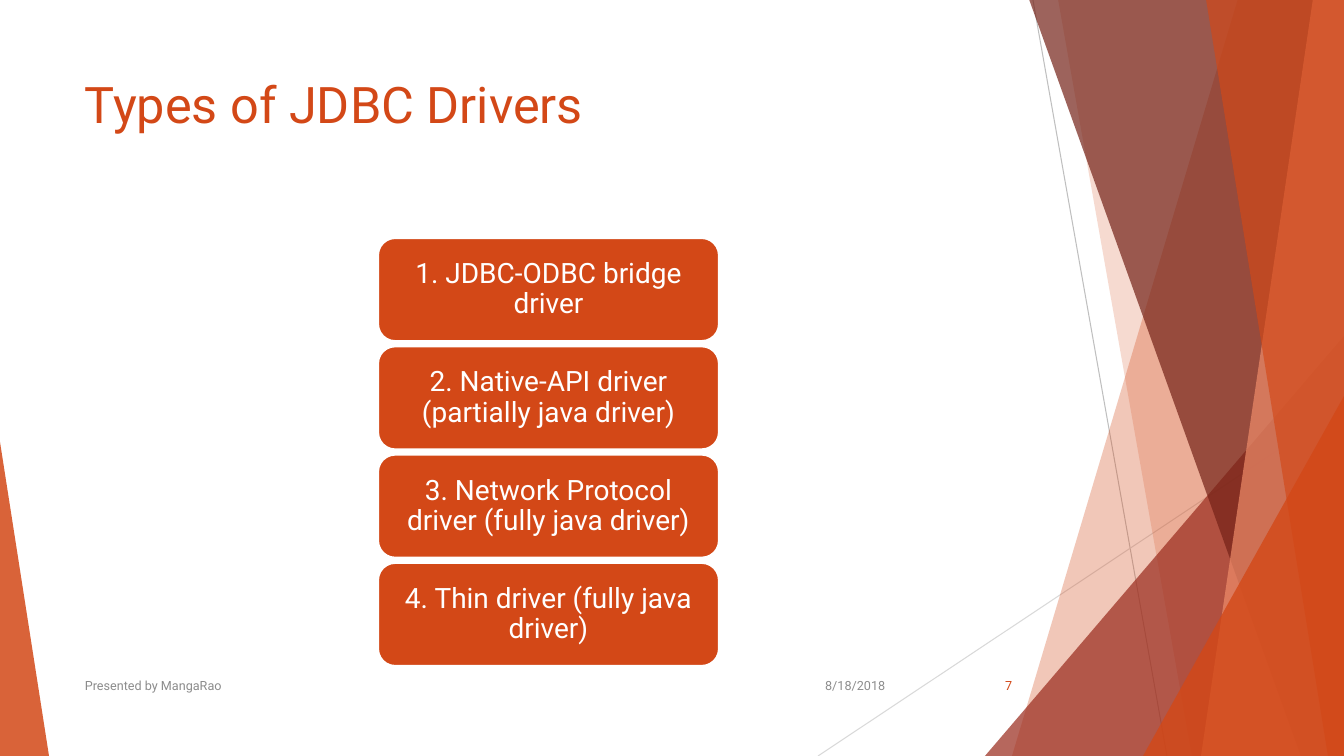
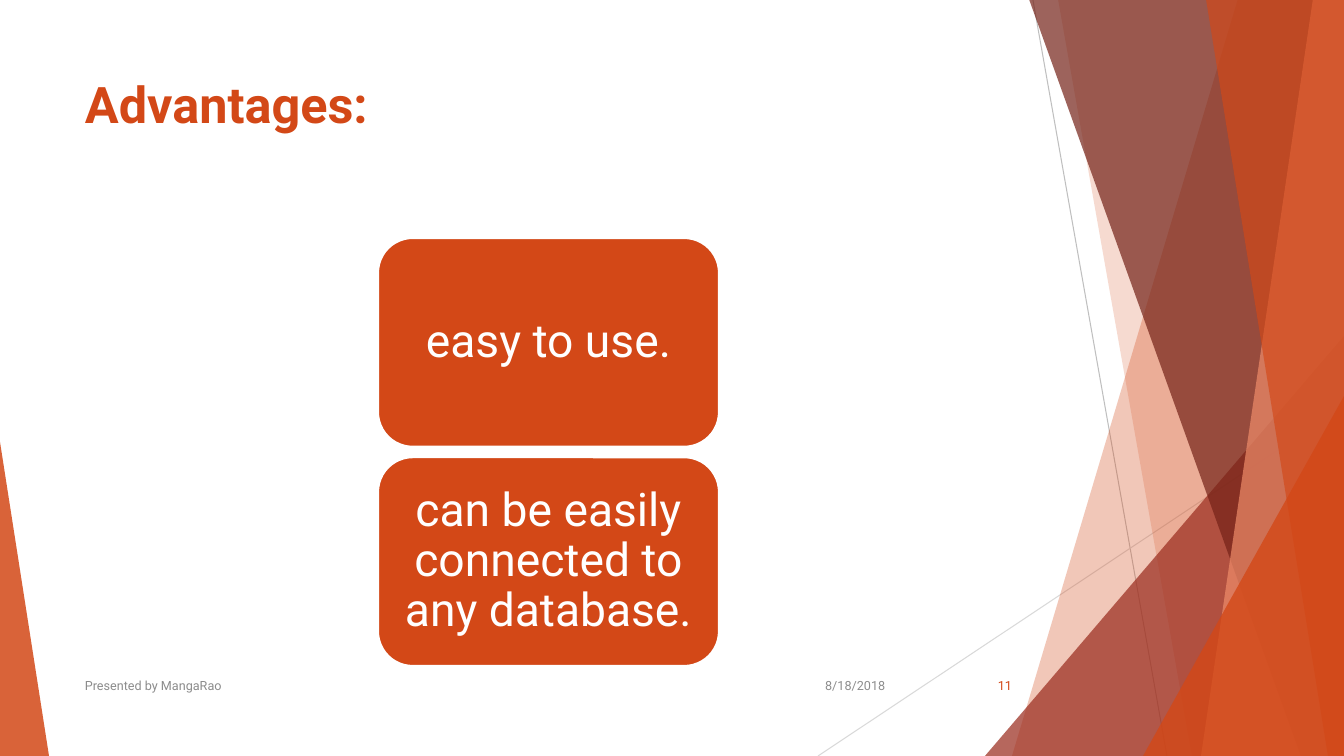
from lxml import etree
from pptx import Presentation
from pptx.dml.color import RGBColor
from pptx.enum.shapes import MSO_CONNECTOR, MSO_SHAPE
from pptx.enum.text import MSO_ANCHOR, PP_ALIGN
from pptx.oxml.ns import qn
from pptx.util import Pt

PX = 914400 / 100.8
WIDTH, HEIGHT = 1344, 756
FONT = "Roboto"
ORANGE, RUST, MAROON, SALMON = "D34817", "9B2D1F", "742217", "EF8C6A"
WHITE, GREY = "FFFFFF", "8C8C8C"
LEFT, CENTER, RIGHT = PP_ALIGN.LEFT, PP_ALIGN.CENTER, PP_ALIGN.RIGHT
TOP, MIDDLE = MSO_ANCHOR.TOP, MSO_ANCHOR.MIDDLE
ROUNDED, TRIANGLE = MSO_SHAPE.ROUNDED_RECTANGLE, MSO_SHAPE.ISOSCELES_TRIANGLE
STRAIGHT = MSO_CONNECTOR.STRAIGHT

STACK_LEFT, STACK_TOP, STACK_WIDTH, STACK_HEIGHT = 378, 238, 341, 428
GAP_RATIO = 0.05  # gap between boxes, relative to box height

SLIDES = [
    dict(title="Types of JDBC Drivers", bold=False, number=7, size=20,
         boxes=["1. JDBC-ODBC bridge driver",
                "2. Native-API driver (partially java driver)",
                "3. Network Protocol driver (fully java driver)",
                "4. Thin driver (fully java driver)"]),
    dict(title="Advantages:", bold=True, number=11, size=33,
         boxes=["easy to use.", "can be easily connected to any database."]),
]


def px(*lengths):
    """Turn pixels into a list of EMU lengths."""
    return [round(n * PX) for n in lengths]


def rgb(color):
    """Turn a hex string into a colour."""
    return RGBColor.from_string(color)


def write(sp, text, size, color, align, anchor, bold=False):
    """Set the single paragraph of a shape and return it."""
    tf = sp.text_frame
    tf.word_wrap = True
    tf.vertical_anchor = anchor
    p = tf.paragraphs[0]
    p.text = text
    p.alignment = align
    p.font.name, p.font.size, p.font.bold = FONT, Pt(size), bold
    p.font.color.rgb = rgb(color)
    return p


def add_text(s, box, text, size, color, align=LEFT, anchor=MIDDLE, bold=False):
    """Add a text box."""
    write(s.shapes.add_textbox(*px(*box)), text, size, color, align, anchor, bold)


def paint(sp, color, alpha):
    """Give a shape a see-through fill with neither line nor shadow."""
    sp.shadow.inherit = False
    sp.line.fill.background()
    sp.fill.solid()
    sp.fill.fore_color.rgb = rgb(color)
    clr = sp._element.spPr.find(qn("a:solidFill"))[0]
    etree.SubElement(clr, qn("a:alpha")).set("val", str(alpha * 1000))


def add_ray(s, start, end, color):
    """Add a thin straight line."""
    line = s.shapes.add_connector(STRAIGHT, *px(*start, *end))
    line.line.color.rgb = rgb(color)
    line.line.width = Pt(0.75)
    etree.SubElement(line._element.spPr, qn("a:effectLst"))


def add_band(s, top_x, bottom_x, color, alpha):
    """Fill the slide from a slanted left edge to its right side."""
    builder = s.shapes.build_freeform(top_x, -1, scale=PX)
    builder.add_line_segments([(WIDTH, -1), (WIDTH, HEIGHT), (bottom_x, HEIGHT)])
    paint(builder.convert_to_shape(), color, alpha)


def add_corner(s, left, top, width, apex, color, alpha):
    """Add a right triangle standing on the bottom of the slide."""
    sp = s.shapes.add_shape(TRIANGLE, *px(left, top, width, HEIGHT - top))
    sp.adjustments[0] = apex
    paint(sp, color, alpha)


def add_facets(s):
    """Draw the decoration that all slides share."""
    add_ray(s, (1033, 0), (1167, HEIGHT), "BFBFBF")
    add_ray(s, (WIDTH, 406), (818, HEIGHT), "D9D9D9")
    add_band(s, 1238, 1012, ORANGE, 30)
    add_band(s, 1058, 1192, ORANGE, 20)
    add_corner(s, 985, 336, 359, 1, RUST, 72)
    add_band(s, 1029, 1301, MAROON, 70)
    add_band(s, 1313, 1201, SALMON, 70)
    add_band(s, 1206, 1328, ORANGE, 65)
    add_corner(s, 1143, 396, 201, 1, ORANGE, 80)
    add_corner(s, 0, 442, 49, 0, ORANGE, 85)


def add_footer(s, number):
    """Add the date, the presenter and the slide number."""
    add_text(s, (794, 666, 101, 40), "8/18/2018", 9, GREY, RIGHT)
    add_text(s, (75, 666, 694, 40), "Presented by MangaRao", 9, GREY)
    add_text(s, (947, 666, 75, 40), str(number), 9, ORANGE, RIGHT)


def add_stack(s, texts, size):
    """Stack equal rounded boxes that together fill the content height."""
    height = STACK_HEIGHT / (len(texts) + GAP_RATIO * (len(texts) - 1))
    for i, text in enumerate(texts):
        top = STACK_TOP + i * height * (1 + GAP_RATIO)
        sp = s.shapes.add_shape(ROUNDED, *px(STACK_LEFT, top, STACK_WIDTH, height))
        sp.shadow.inherit = False
        sp.fill.solid()
        sp.fill.fore_color.rgb = rgb(ORANGE)
        sp.line.color.rgb = rgb(WHITE)
        sp.line.width = Pt(1.5)
        tf = sp.text_frame
        tf.margin_left = tf.margin_right = Pt(0.3 * size)
        tf.margin_top = tf.margin_bottom = Pt(0.15 * size)
        write(sp, text, size, WHITE, CENTER, MIDDLE).line_spacing = 0.9


def main():
    """Build and save the slides."""
    prs = Presentation()
    prs.slide_width, prs.slide_height = px(WIDTH, HEIGHT)
    for content in SLIDES:
        s = prs.slides.add_slide(prs.slide_layouts[6])
        add_facets(s)
        add_text(s, (75, 68, 948, 145), content["title"], 36, ORANGE,
                 anchor=TOP, bold=content["bold"])
        add_stack(s, content["boxes"], content["size"])
        add_footer(s, content["number"])
    prs.save("out.pptx")


main()
